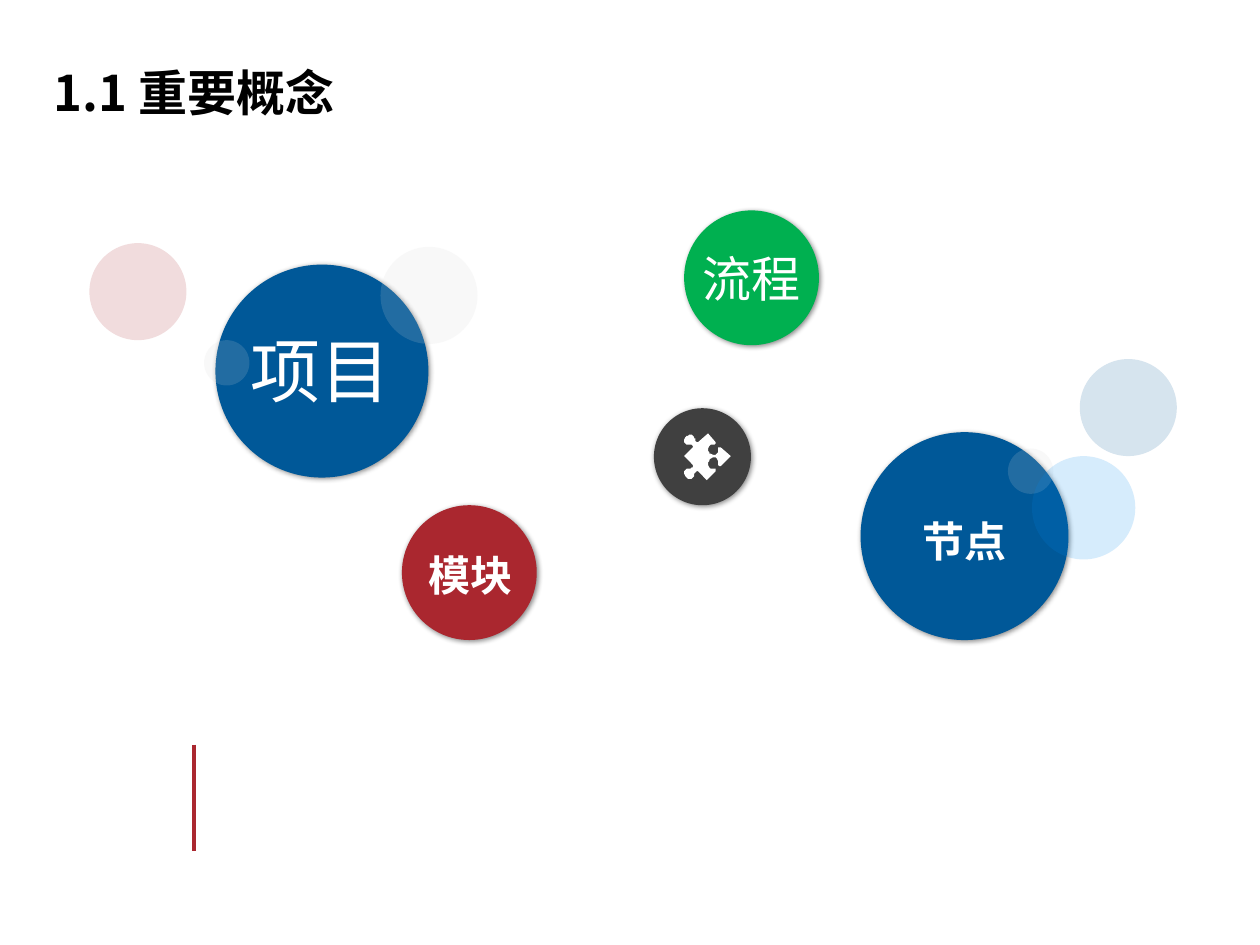
from lxml import etree
from pptx import Presentation
from pptx.dml.color import RGBColor
from pptx.enum.shapes import MSO_CONNECTOR, MSO_SHAPE
from pptx.enum.text import MSO_ANCHOR, PP_ALIGN
from pptx.oxml.ns import qn
from pptx.util import Inches, Pt

OVAL = MSO_SHAPE.OVAL
STRAIGHT = MSO_CONNECTOR.STRAIGHT
MIDDLE = MSO_ANCHOR.MIDDLE
LEFT, CENTER = PP_ALIGN.LEFT, PP_ALIGN.CENTER

THEME = {
    "font": "Noto Sans CJK SC",
    "black": RGBColor.from_string("000000"),
    "white": RGBColor.from_string("FFFFFF"),
    "blue": RGBColor.from_string("005898"),
    "red": RGBColor.from_string("AA272F"),
    "green": RGBColor.from_string("00B050"),
    "dark": RGBColor.from_string("404040"),
    "gray": RGBColor.from_string("D9D9D9"),
    "sky": RGBColor.from_string("0089ED"),
    "title": Pt(28),
    "large": Pt(40),
    "medium": Pt(28),
    "small": Pt(24),
}

presentation = Presentation()
presentation.slide_width = Inches(10)
presentation.slide_height = Inches(7.5)
slide = presentation.slides.add_slide(presentation.slide_layouts[6])


def add_circle(left, top, diameter, color):
    """Add a borderless filled circle and return it."""
    circle = slide.shapes.add_shape(
        OVAL, Inches(left), Inches(top), Inches(diameter), Inches(diameter))
    circle.shadow.inherit = False
    circle.fill.solid()
    circle.fill.fore_color.rgb = THEME[color]
    circle.line.fill.background()
    return circle


def add_label(text, box, size, color, bold, alignment):
    """Add one line of text in a box given as left, top, width, height."""
    label = slide.shapes.add_textbox(*[Inches(value) for value in box])
    text_frame = label.text_frame
    text_frame.word_wrap = True
    text_frame.vertical_anchor = MIDDLE
    text_frame.text = text
    paragraph = text_frame.paragraphs[0]
    paragraph.alignment = alignment
    font = paragraph.runs[0].font
    font.name = THEME["font"]
    font.size = THEME[size]
    font.bold = bold
    font.color.rgb = THEME[color]
    east_asian = etree.SubElement(font._element, qn("a:ea"))
    east_asian.set("typeface", THEME["font"])


add_label("1.1 重要概念", (0.33, 0.42, 8.75, 0.62), "title", "black", True, LEFT)

# Concept circles with a soft shadow
for left, top, diameter, color in [
    (1.71, 2.1, 1.69, "blue"),
    (3.19, 4.01, 1.07, "red"),
    (5.43, 1.67, 1.07, "green"),
    (5.19, 3.24, 0.77, "dark"),
    (6.83, 3.43, 1.65, "blue"),
]:
    circle = add_circle(left, top, diameter, color)
    effects = circle._element.spPr.find(qn("a:effectLst"))
    shadow = etree.SubElement(
        effects, qn("a:outerShdw"), blurRad=str(Pt(3)), dist=str(Pt(1)),
        dir="2700000", algn="tl", rotWithShape="0")
    shadow_color = etree.SubElement(shadow, qn("a:srgbClr"), val=str(THEME["black"]))
    etree.SubElement(shadow_color, qn("a:alpha"), val="46000")

# Translucent bubbles
for left, top, diameter, color in [
    (3.02, 1.96, 0.77, "gray"),
    (1.62, 2.7, 0.36, "gray"),
    (8, 3.56, 0.36, "gray"),
    (8.19, 3.62, 0.82, "sky"),
    (0.71, 1.93, 0.77, "red"),
    (8.57, 2.85, 0.77, "blue"),
]:
    bubble = add_circle(left, top, diameter, color)
    fill_color = bubble._element.spPr.find(qn("a:solidFill"))[0]
    etree.SubElement(fill_color, qn("a:alpha"), val="16000")

divider = slide.shapes.add_connector(
    STRAIGHT, Inches(1.54), Inches(5.91), Inches(1.54), Inches(6.75))
divider.line.color.rgb = THEME["red"]
divider.line.width = Pt(0)
etree.SubElement(divider._element.spPr, qn("a:effectLst"))

# Puzzle piece in hundredths of an inch: pairs are corners, sixes are curves
PUZZLE_LEFT, PUZZLE_TOP = 5.43, 3.44
puzzle_start = (0, 18)
puzzle_outline = [
    (7, 11), (7, 11, 7, 10, 6, 9), (5, 9, 4, 9, 3, 9), (2, 9, 0, 7, 0, 6),
    (0, 4, 2, 2, 2, 2), (2, 2, 3, 1, 5, 1), (7, 1, 8, 2, 8, 4),
    (9, 4, 9, 6, 9, 6), (10, 7, 10, 7, 11, 7), (19, 0), (25, 7),
    (25, 7, 25, 8, 25, 8), (24, 9, 23, 9, 22, 9), (20, 9, 19, 11, 19, 13),
    (19, 14, 20, 16, 20, 16), (20, 16, 22, 17, 24, 17), (25, 17, 27, 16, 27, 14),
    (27, 13, 27, 12, 27, 11), (28, 11, 29, 11, 29, 11), (37, 18), (29, 26),
    (28, 26, 28, 26, 27, 25), (27, 24, 27, 23, 27, 23), (27, 21, 25, 19, 24, 19),
    (22, 19, 20, 21, 20, 21), (20, 21, 19, 23, 19, 24), (19, 26, 20, 28, 22, 28),
    (23, 28, 24, 28, 25, 28), (25, 28, 25, 29, 25, 30), (18, 37), (11, 30),
    (10, 30, 10, 30, 9, 31), (8, 31, 9, 33, 8, 33), (8, 35, 7, 36, 5, 36),
    (3, 37, 2, 35, 2, 35), (2, 35, 0, 33, 0, 31), (0, 30, 1, 28, 3, 28),
    (4, 28, 5, 28, 6, 27), (7, 27, 7, 26, 7, 25),
]
CURVE_STEPS = 4
vertices = []
current = puzzle_start
for step in puzzle_outline:
    end = step[-2:]
    if len(step) == 6:
        for part in range(1, CURVE_STEPS):
            t = part / CURVE_STEPS
            vertices.append(tuple(
                (1 - t) ** 3 * current[axis] + 3 * (1 - t) ** 2 * t * step[axis]
                + 3 * (1 - t) * t ** 2 * step[axis + 2] + t ** 3 * end[axis]
                for axis in range(2)))
    vertices.append(end)
    current = end
builder = slide.shapes.build_freeform(*puzzle_start, scale=Inches(0.01))
builder.add_line_segments(vertices, close=True)
puzzle = builder.convert_to_shape(Inches(PUZZLE_LEFT), Inches(PUZZLE_TOP))
puzzle.shadow.inherit = False
puzzle.fill.solid()
puzzle.fill.fore_color.rgb = THEME["white"]
puzzle.line.fill.background()

for text, box, size, bold in [
    ("项目", (1.82, 2.55, 1.44, 0.77), "large", False),
    ("节点", (7.13, 4.04, 1.05, 0.5), "small", True),
    ("模块", (3.21, 4.31, 1.05, 0.5), "small", True),
    ("流程", (5.44, 1.92, 1.05, 0.57), "medium", False),
]:
    add_label(text, box, size, "white", bold, CENTER)

presentation.save("out.pptx")
